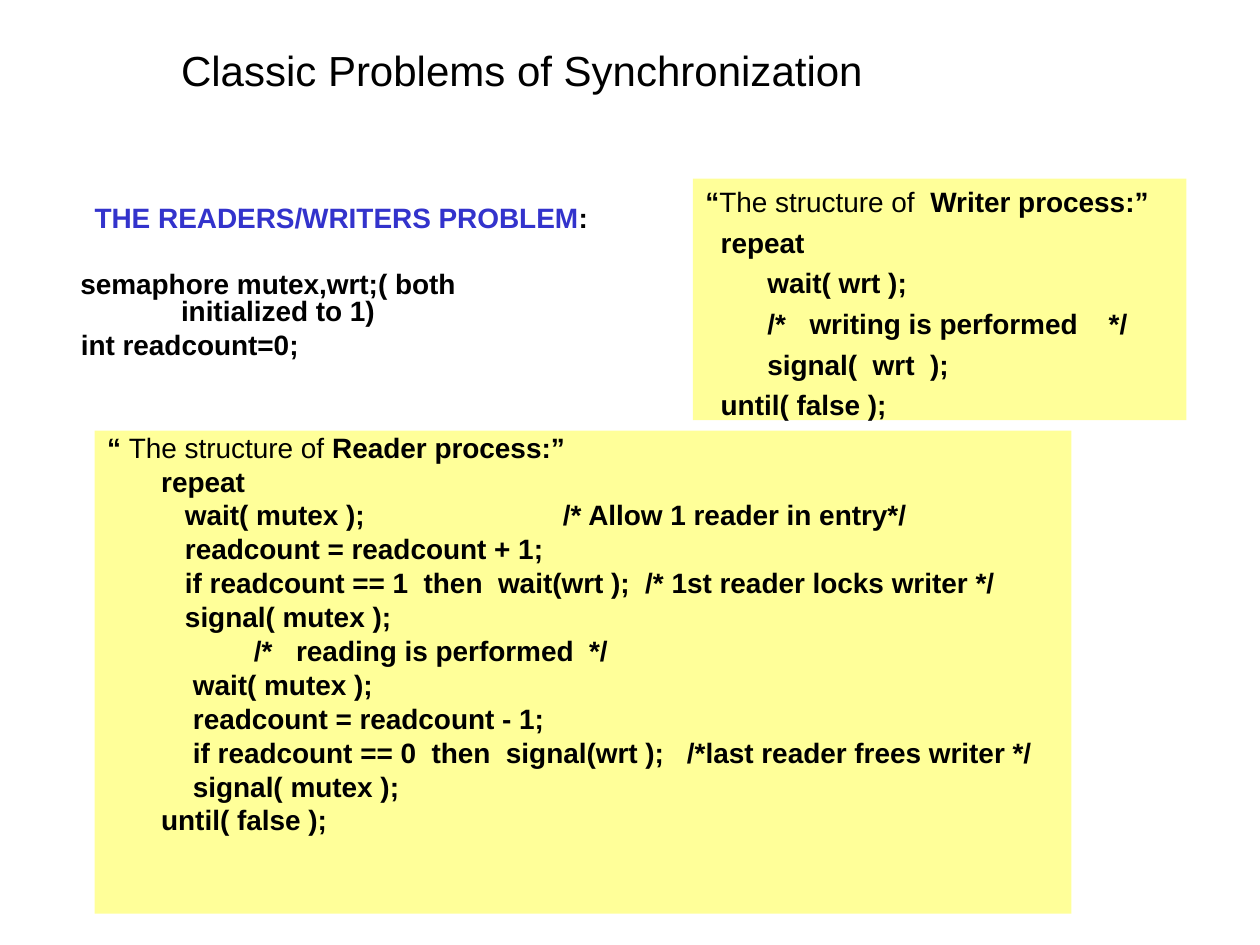
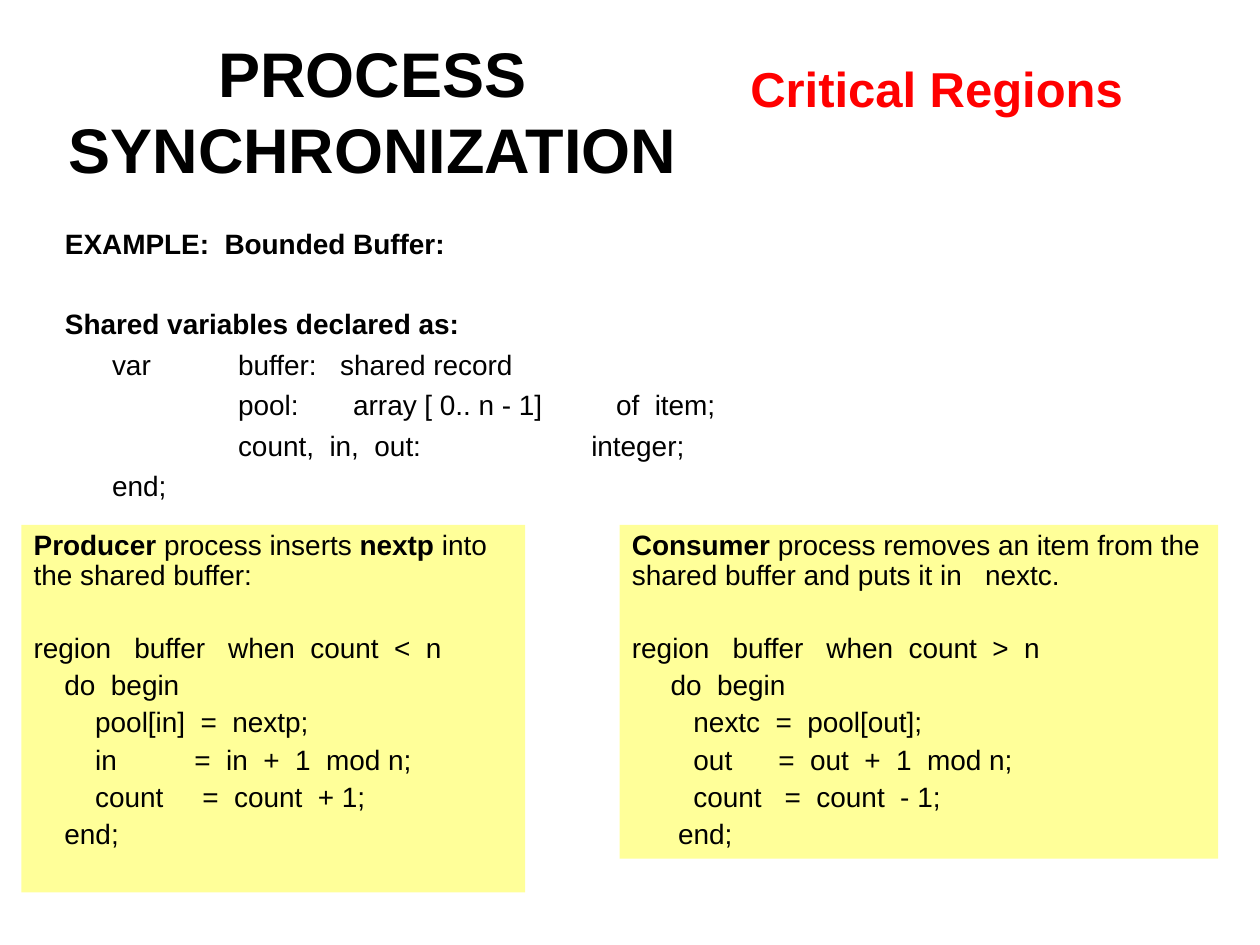
from collections import namedtuple

from lxml import etree
from pptx import Presentation
from pptx import util as u
from pptx.dml.color import RGBColor
from pptx.enum import shapes, text
from pptx.oxml.ns import qn

FONT = "Arial"
BLACK, RED, BLUE, YELLOW = "000000", "FF0000", "3333CC", "FFFF99"
SIZE = 16    # body text, points
GAP = 4      # space between paragraphs, points
LEFT, MID = text.PP_ALIGN.LEFT, text.PP_ALIGN.CENTER

Box = namedtuple("Box", "left top width height")
# In words, "|" switches bold on or off; tabs (cm) count from the indent.
Line = namedtuple("Line", "words indent tabs first skip",
                  defaults=(0, (), 0, 0))


def color(code):
    return RGBColor.from_string(code)


def add_run(para, words, size=SIZE, bold=False, ink=BLACK):
    run = para.add_run()
    run.text = words
    font = run.font
    font.name, font.size, font.bold = FONT, u.Pt(size), bold
    font.color.rgb = color(ink)


def add_box(slide, box, fill=None, wrap=True, anchor=text.MSO_ANCHOR.TOP):
    """Add a text box, or a filled panel, and return its text frame."""
    place = [u.Cm(n) for n in box]
    if fill:
        shape = slide.shapes.add_shape(shapes.MSO_SHAPE.RECTANGLE, *place)
        shape.shadow.inherit = False
        shape.fill.solid()
        shape.fill.fore_color.rgb = color(fill)
        shape.line.fill.background()
    else:
        shape = slide.shapes.add_textbox(*place)
    frame = shape.text_frame
    frame.word_wrap = wrap
    frame.vertical_anchor = anchor
    return frame


def set_para(para, line):
    """Set the indents and tab stops of a paragraph."""
    para.alignment = LEFT
    props = para._p.get_or_add_pPr()
    # A first-line indent of zero would reset the tab stops.
    for name, size in (("marL", line.indent), ("indent", line.first)):
        if size:
            props.set(name, str(u.Cm(size)))
    if line.tabs:
        stops = etree.SubElement(props, qn("a:tabLst"))
        for pos in line.tabs:
            etree.SubElement(stops, qn("a:tab"), pos=str(u.Cm(pos)), algn="l")


def add_lines(frame, lines, pitch=1.0, bold=False):
    """Write the lines; skip counts blank rows left above a line."""
    row = SIZE * 1.15 * pitch + GAP
    for n, line in enumerate(lines):
        para = frame.add_paragraph() if n else frame.paragraphs[0]
        set_para(para, line)
        para.line_spacing = pitch
        if n:
            para.space_before = u.Pt(GAP + line.skip * row)
        for k, part in enumerate(line.words.split("|")):
            for j, piece in enumerate(part.split("\n")):
                if j:
                    para.add_line_break()
                if piece:
                    add_run(para, piece, bold=bold != bool(k % 2))


def add_title(slide, box, words, size, bold=True, ink=BLACK, **opts):
    frame = add_box(slide, box, **opts)
    para = frame.paragraphs[0]
    para.alignment = MID
    add_run(para, words, size, bold, ink)


# Readers and writers
def add_vars(slide, box):
    frame = add_box(slide, box)
    head = frame.paragraphs[0]
    add_lines(frame, [
        Line(""),
        Line("semaphore mutex,wrt;( both\ninitialized to 1)",
             2.97, first=-2.03, skip=1),
        Line("int readcount=0;", 0.95),
    ], 0.8, True)
    head.alignment = MID
    add_run(head, "THE READERS/WRITERS PROBLEM", bold=True, ink=BLUE)
    add_run(head, ":", bold=True)


def add_reader(slide, box):
    outer, inner, late = 1.09, 1.57, 1.73
    add_lines(add_box(slide, box, YELLOW), [
        Line("“\u00a0|The structure of |Reader process:”"),
        Line("repeat", outer),
        Line("wait( mutex );\t/* Allow 1 reader in entry*/", inner, (7.62,)),
        Line("readcount = readcount + 1;", inner),
        Line("if readcount == 1  then  wait(wrt );  "
             "/* 1st reader locks writer */", inner),
        Line("signal( mutex );", inner),
        Line("/*\treading is performed  */", 2.96, (0.85,)),
        Line("wait( mutex );", late),
        Line("readcount = readcount - 1;", late),
        Line("if readcount == 0  then  signal(wrt );\t"
             "/*last reader frees writer */", late, (9.96,)),
        Line("signal( mutex );", late),
        Line("until( false );", outer),
    ], 0.8, True)


def add_writer(slide, box):
    outer, inner = 0.31, 1.25
    add_lines(add_box(slide, box, YELLOW), [
        Line("“|The structure of | Writer process:”"),
        Line("repeat", outer),
        Line("wait( wrt );", inner),
        Line("/*\twriting is performed\t*/", inner, (0.85, 6.88)),
        Line("signal(  wrt  );", inner),
        Line("until( false );", outer),
    ], bold=True)


def readers_slide(slide):
    add_vars(slide, Box(0.43, 4.04, 12.9, 3.6))
    add_reader(slide, Box(1.91, 8.68, 19.69, 9.74))
    add_writer(slide, Box(13.97, 3.6, 9.95, 4.87))
    add_title(slide, Box(0.51, 0.78, 20.02, 2.28),
              "Classic Problems of Synchronization", 24, False)


# Critical regions
def add_shared(slide, box):
    level, field = 0.95, 3.49
    add_lines(add_box(slide, box), [
        Line("|EXAMPLE:  Bounded Buffer:"),
        Line("|Shared variables declared as:", skip=1),
        Line("var\tbuffer:\tshared record", level, (2.54, 4.6)),
        Line("pool:\tarray [ 0.. n - 1]\tof  item;", field, (2.32, 7.62)),
        Line("count,  in,  out:\tinteger;", field, (7.12,)),
        Line("end;", level),
    ])


def add_role(slide, box, intro, sign, block, body, end):
    """Add a yellow panel: an introduction, then a region statement."""
    add_lines(add_box(slide, box, YELLOW), [
        intro,
        Line(f"region\tbuffer\twhen  count  {sign}  n",
             tabs=(2.03, 3.92), skip=1),
        Line("do  begin", block),
        *[Line(words, 1.24, tabs) for words, tabs in body],
        Line("end;", end),
    ], 0.9)


def regions_slide(slide):
    add_shared(slide, Box(1.06, 4.45, 23.28, 5.93))
    add_role(slide, Box(0.43, 10.58, 10.16, 7.41),
             Line("|Producer| process inserts |nextp| into the shared buffer:"),
             "<", 0.62,
             [("pool[in]  =  nextp;", ()),
              ("in\t=  in  +  1  mod n;", (2,)),
              ("count\t=  count  + 1;", (2.16,))], 0.62)
    add_role(slide, Box(12.49, 10.58, 12.07, 6.73),
             Line("|Consumer| process removes an item from the "
                  "shared buffer and puts it in\tnextc.", tabs=(7.12,)),
             ">", 0.78,
             [("nextc  =  pool[out];", ()),
              ("out\t=  out  +  1  mod n;", (1.71,)),
              ("count\t=  count  - 1;", (1.84,))], 0.93)
    add_title(slide, Box(0.84, 0.64, 13.34, 3.18), "PROCESS SYNCHRONIZATION",
              36, anchor=text.MSO_ANCHOR.MIDDLE)
    add_title(slide, Box(14.68, 1.06, 8.4, 1.45), "Critical Regions",
              28, ink=RED, wrap=False)


def main():
    deck = Presentation()
    deck.slide_width, deck.slide_height = u.Cm(25.4), u.Cm(19.05)
    for build in (readers_slide, regions_slide):
        build(deck.slides.add_slide(deck.slide_layouts[6]))
    deck.save("out.pptx")


if __name__ == "__main__":
    main()
